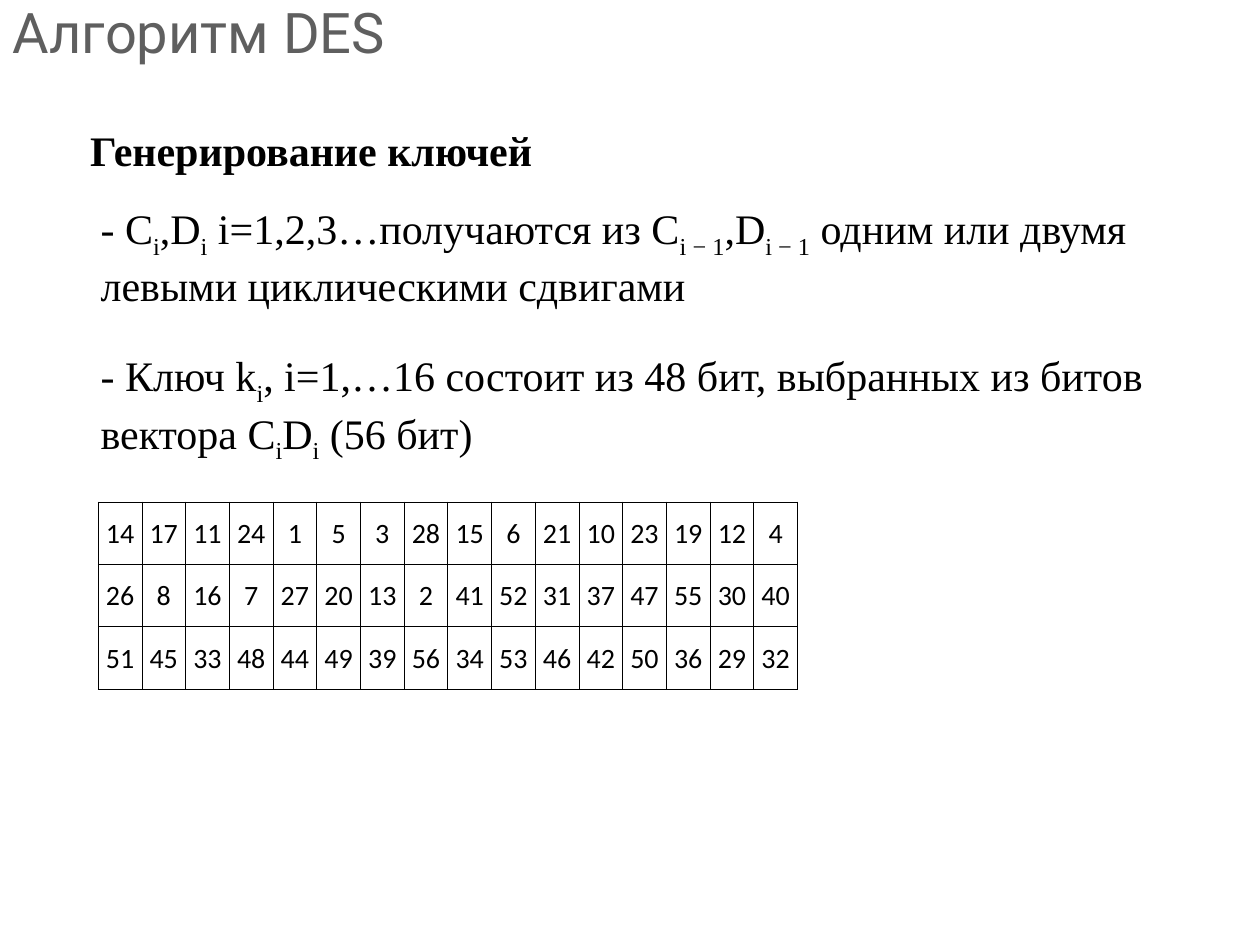
import dataclasses
import lxml.etree
import pptx
import pptx.dml.color
import pptx.enum.text
import pptx.oxml.ns
import pptx.util

Cm = pptx.util.Cm
Pt = pptx.util.Pt
RGB = pptx.dml.color.RGBColor.from_string
ALIGN = pptx.enum.text.PP_ALIGN
ANCHOR = pptx.enum.text.MSO_ANCHOR
AUTO = pptx.enum.text.MSO_AUTO_SIZE
qn = pptx.oxml.ns.qn


@dataclasses.dataclass(frozen=True)
class Theme:
    paper: str = "FFFFFF"
    line: str = "000000"
    line_width: float = 0.5
    title: tuple = ("Roboto", 32, False, "5F5F5F")
    heading: tuple = ("Times New Roman", 24, True, "000000")
    body: tuple = ("Times New Roman", 24, False, "000000")
    cell: tuple = ("Calibri", 16, False, "000000")


THEME = Theme()

STATEMENTS = [
    ((1.78, 3.96, 22.02, 2.31),
     "- C|i|,D|i| i=1,2,3…получаются из C|i − 1|,D|i − 1|"
     " одним или двумя левыми циклическими сдвигами"),
    ((1.78, 6.93, 21.82, 2.31),
     "- Ключ k|i|, i=1,…16 состоит из 48 бит, выбранных из битов"
     " вектора C|i|D|i| (56 бит)"),
]

KEY_BITS = [
    [14, 17, 11, 24, 1, 5, 3, 28, 15, 6, 21, 10, 23, 19, 12, 4],
    [26, 8, 16, 7, 27, 20, 13, 2, 41, 52, 31, 37, 47, 55, 30, 40],
    [51, 45, 33, 48, 44, 49, 39, 56, 34, 53, 46, 42, 50, 36, 29, 32],
]


def set_values(obj, values):
    for name, value in values.items():
        setattr(obj, name, value)


def write(p, text, style):
    name, size, bold, color = style
    for i, part in enumerate(text.split("|")):
        r = p.add_run()
        r.text = part
        set_values(r.font, {"name": name, "size": Pt(size), "bold": bold})
        r.font.color.rgb = RGB(color)
        if i % 2:
            r.font._element.set("baseline", "-25000")


def add_title(s, box, text):
    sp = s.shapes.title
    set_values(sp, dict(zip(("left", "top", "width", "height"), map(Cm, box))))
    tf = sp.text_frame
    set_values(tf, {"vertical_anchor": ANCHOR.MIDDLE, "word_wrap": True,
                    "auto_size": AUTO.NONE})
    p = tf.paragraphs[0]
    p.alignment = ALIGN.LEFT
    write(p, text, THEME.title)


def add_text(s, box, text, style, wrap=True):
    tf = s.shapes.add_textbox(*map(Cm, box)).text_frame
    set_values(tf, {"word_wrap": wrap, "auto_size": AUTO.SHAPE_TO_FIT_TEXT})
    write(tf.paragraphs[0], text, style)


def add_borders(cell):
    tcPr = cell._tc.get_or_add_tcPr()
    for i, side in enumerate(("lnL", "lnR", "lnT", "lnB")):
        ln = lxml.etree.Element(qn("a:" + side), w=str(Pt(THEME.line_width)))
        fill = lxml.etree.SubElement(ln, qn("a:solidFill"))
        lxml.etree.SubElement(fill, qn("a:srgbClr"), val=THEME.line)
        tcPr.insert(i, ln)


def add_key_table(s, box, rows):
    left, top, width, height = map(Cm, box)
    n_rows, n_cols = len(rows), len(rows[0])
    table = s.shapes.add_table(n_rows, n_cols, left, top, width, height).table
    set_values(table, {"first_row": False, "horz_banding": False})
    for col in table.columns:
        col.width = width // n_cols
    for row, numbers in zip(table.rows, rows):
        row.height = height // n_rows
        for cell, number in zip(row.cells, numbers):
            set_values(cell, {"vertical_anchor": ANCHOR.MIDDLE,
                              "margin_left": Cm(0.03), "margin_right": Cm(0.03),
                              "margin_top": Cm(0.03), "margin_bottom": 0})
            cell.fill.solid()
            cell.fill.fore_color.rgb = RGB(THEME.paper)
            add_borders(cell)
            p = cell.text_frame.paragraphs[0]
            p.alignment = ALIGN.CENTER
            write(p, str(number), THEME.cell)


def main():
    prs = pptx.Presentation()
    set_values(prs, {"slide_width": Cm(25.4), "slide_height": Cm(19.05)})
    s = prs.slides.add_slide(prs.slide_layouts[5])
    add_title(s, (0, 0, 25.4, 1.27), "Алгоритм DES")
    add_text(s, (1.57, 2.39, 9.53, 1.27), "Генерирование ключей",
             THEME.heading, wrap=False)
    for box, text in STATEMENTS:
        add_text(s, box, text, THEME.body)
    add_key_table(s, (1.98, 10.12, 14.1, 3.77), KEY_BITS)
    prs.save("out.pptx")


if __name__ == "__main__":
    main()
